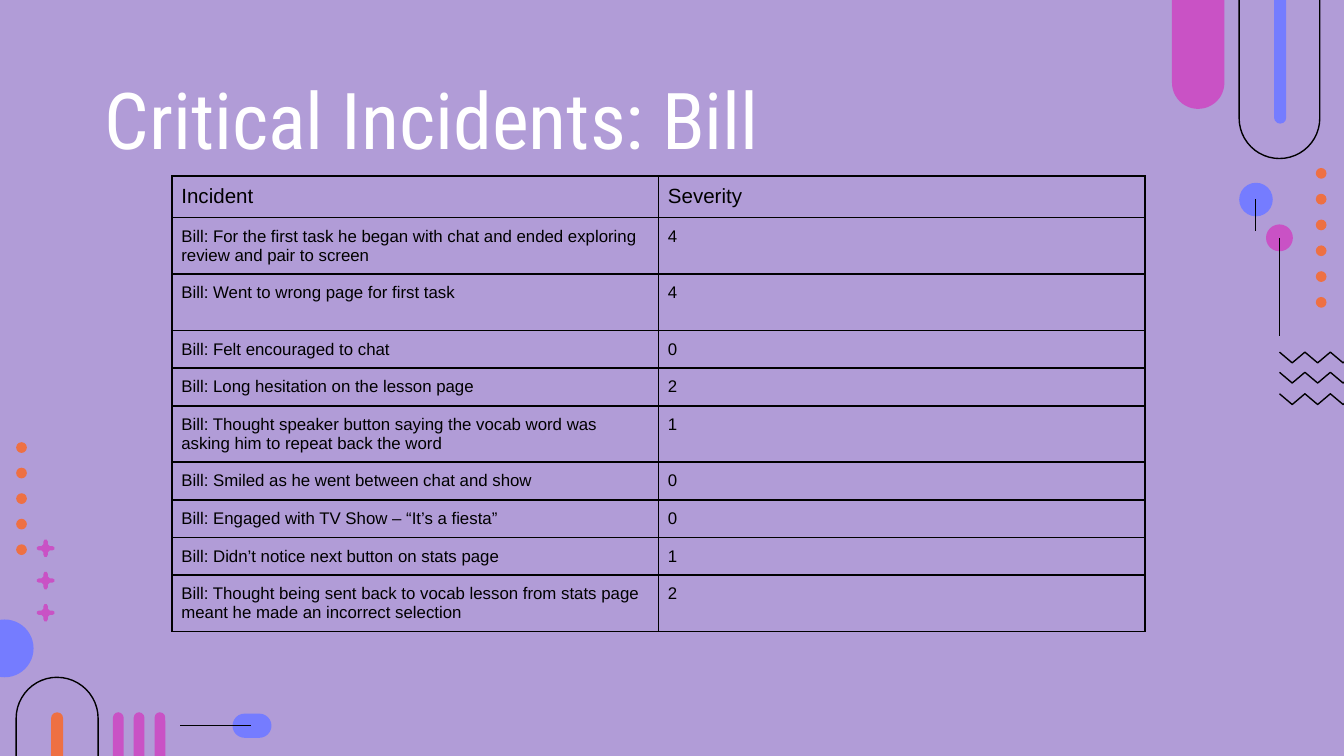
"""Build the critical incidents slide: a severity table among geometric ornaments."""
from lxml import etree
from pptx import Presentation, util as u
from pptx.dml.color import RGBColor
from pptx.enum import shapes, text
from pptx.oxml import ns

TITLE = "Critical Incidents: Bill"
INCIDENTS = [
    ("Incident", "Severity", 0.31),
    ("Bill: For the first task he began with chat and ended exploring review and pair to screen", "4", 0.42),
    ("Bill: Went to wrong page for first task", "4", 0.42),
    ("Bill: Felt encouraged to chat", "0", 0.28),
    ("Bill: Long hesitation on the lesson page", "2", 0.28),
    ("Bill: Thought speaker button saying the vocab word was asking him to repeat back the word", "1", 0.42),
    ("Bill: Smiled as he went between chat and show", "0", 0.28),
    ("Bill: Engaged with TV Show – “It’s a fiesta”", "0", 0.28),
    ("Bill: Didn’t notice next button on stats page", "1", 0.28),
    ("Bill: Thought being sent back to vocab lesson from stats page meant he made an incorrect selection", "2", 0.42),
]
COLORS = {"lilac": "B19CD7", "blue": "757CFF", "pink": "C952C5",
          "orange": "EE7043", "black": "000000", "white": "FFFFFF"}
PILL, DISC = shapes.MSO_SHAPE.ROUNDED_RECTANGLE, shapes.MSO_SHAPE.OVAL
SLIDE_WIDTH = u.Inches(10)
SLIDE_HEIGHT = SLIDE_WIDTH * 9 // 16

BARS = [(PILL, 0.84 + 0.31 * i / 2, 5.3, 0.08, 0.89, "pink") for i in range(3)]
DOTS = [(DISC, left, top + (last - top) * i / (count - 1), 0.08, 0.08, "orange")
        for left, top, last, count in ((0.12, 3.29, 4.05, 5), (9.79, 1.25, 2.21, 6))
        for i in range(count)]
ORNAMENTS = BARS + DOTS + [
    (PILL, 1.73, 5.31, 0.29, 0.18, "blue"),
    (DISC, -0.18, 4.61, 0.43, 0.43, "blue"),
    (PILL, 0.12, 5.04, 0.61, 1.56, None),
    (PILL, 0.38, 5.3, 0.09, 1.05, "orange"),
    (DISC, 9.22, 1.36, 0.25, 0.25, "blue"),
    (PILL, 9.22, -0.38, 0.6, 1.56, None),
    (PILL, 9.48, -0.13, 0.09, 1.05, "blue"),
    (PILL, 8.72, -0.38, 0.39, 1.19, "pink"),
    (DISC, 9.42, 1.67, 0.2, 0.2, "pink"),
]
STEMS = [(1.34, 5.4, 1.87, 5.4), (9.34, 1.48, 9.34, 1.72), (9.52, 1.77, 9.52, 2.5)]
ZIGZAG = {"left": 9.52, "width": 1.42, "tops": (2.62, 2.77, 2.93), "height": 0.08, "turns": 15}
SPARKLE = {"x": 0.34, "centers": (4.08, 4.32, 4.56), "unit": 0.01,
           "arm": [(-1.6, -5), (-0.8, -6.5), (0.8, -6.5), (1.6, -5), (1.6, -3), (3, -1.6)]}


def color(name):
    return RGBColor.from_string(COLORS[name])


def assign(target, values):
    for key, value in values.items():
        setattr(target, key, value)


def stroke(line):
    line.color.rgb = color("black")
    line.width = u.Pt(0.75)


def dress(shape, fill):
    shape.shadow.inherit = False
    if fill:
        shape.fill.solid()
        shape.fill.fore_color.rgb = color(fill)
        shape.line.fill.background()
    else:
        shape.fill.background()
        stroke(shape.line)


def draw_path(slide, points, fill=None):
    corners = [(u.Inches(x), u.Inches(y)) for x, y in points]
    path = slide.shapes.build_freeform(*corners[0])
    path.add_line_segments(corners[1:], close=bool(fill))
    dress(path.convert_to_shape(), fill)


def draw_ornaments(slide):
    for kind, left, top, width, height, fill in ORNAMENTS:
        ornament = slide.shapes.add_shape(kind, *map(u.Inches, (left, top, width, height)))
        dress(ornament, fill)
        if kind == PILL:
            ornament.adjustments[0] = 0.5
    for ends in STEMS:
        stem = slide.shapes.add_connector(shapes.MSO_CONNECTOR.STRAIGHT, *map(u.Inches, ends))
        stroke(stem.line)
        etree.SubElement(stem._element.spPr, ns.qn("a:effectLst"))
    step = ZIGZAG["width"] / ZIGZAG["turns"]
    for top in ZIGZAG["tops"]:
        draw_path(slide, [(ZIGZAG["left"] + step * i, top + ZIGZAG["height"] * (i % 2))
                          for i in range(ZIGZAG["turns"] + 1)])
    arm, star = SPARKLE["arm"], []
    for _ in range(4):
        star += arm
        arm = [(-y, x) for x, y in arm]
    for center in SPARKLE["centers"]:
        draw_path(slide, [(SPARKLE["x"] + x * SPARKLE["unit"], center + y * SPARKLE["unit"])
                          for x, y in star], "pink")


def write(frame, words, size, font, ink):
    frame.text = words
    paragraph = frame.paragraphs[0]
    paragraph.alignment = text.PP_ALIGN.LEFT
    assign(paragraph.runs[0].font, {"size": u.Pt(size), "name": font})
    paragraph.runs[0].font.color.rgb = color(ink)


def draw_title(slide):
    title = slide.shapes.title
    assign(title, {"left": u.Inches(0.78), "top": u.Inches(0.59),
                   "width": u.Inches(8.43), "height": u.Inches(0.58)})
    assign(title.text_frame, {"margin_left": 0, "margin_right": 0, "word_wrap": True,
                              "margin_top": u.Inches(0.1), "margin_bottom": u.Inches(0.1),
                              "auto_size": text.MSO_AUTO_SIZE.NONE,
                              "vertical_anchor": text.MSO_ANCHOR.MIDDLE})
    write(title.text_frame, TITLE, 42, "Roboto Condensed", "white")
    slide.shapes._spTree.append(title._element)


def border(cell):
    properties = cell._tc.get_or_add_tcPr()
    for side in ("lnL", "lnR", "lnT", "lnB"):
        edge = etree.SubElement(properties, ns.qn(f"a:{side}"), w=str(u.Pt(1)))
        fill = etree.SubElement(edge, ns.qn("a:solidFill"))
        etree.SubElement(fill, ns.qn("a:srgbClr"), val=COLORS["black"])


def draw_table(slide):
    height = sum(row[-1] for row in INCIDENTS)
    table = slide.shapes.add_table(len(INCIDENTS), 2, *map(u.Inches, (1.28, 1.31, 7.24, height))).table
    assign(table, {"first_row": False, "horz_banding": False})
    margins = {f"margin_{side}": u.Inches(0.07) for side in ("left", "right", "top", "bottom")}
    for r, (incident, severity, row_height) in enumerate(INCIDENTS):
        table.rows[r].height = u.Inches(row_height)
        for c, words in enumerate((incident, severity)):
            cell = table.cell(r, c)
            assign(cell, margins)
            border(cell)
            cell.fill.background()
            write(cell.text_frame, words, 9 if r else 11, "Arial", "black")


def main():
    deck = Presentation()
    assign(deck, {"slide_width": SLIDE_WIDTH, "slide_height": SLIDE_HEIGHT})
    slide = deck.slides.add_slide(deck.slide_layouts[5])
    slide.background.fill.solid()
    slide.background.fill.fore_color.rgb = color("lilac")
    draw_ornaments(slide)
    draw_title(slide)
    draw_table(slide)
    deck.save("out.pptx")


if __name__ == "__main__":
    main()
